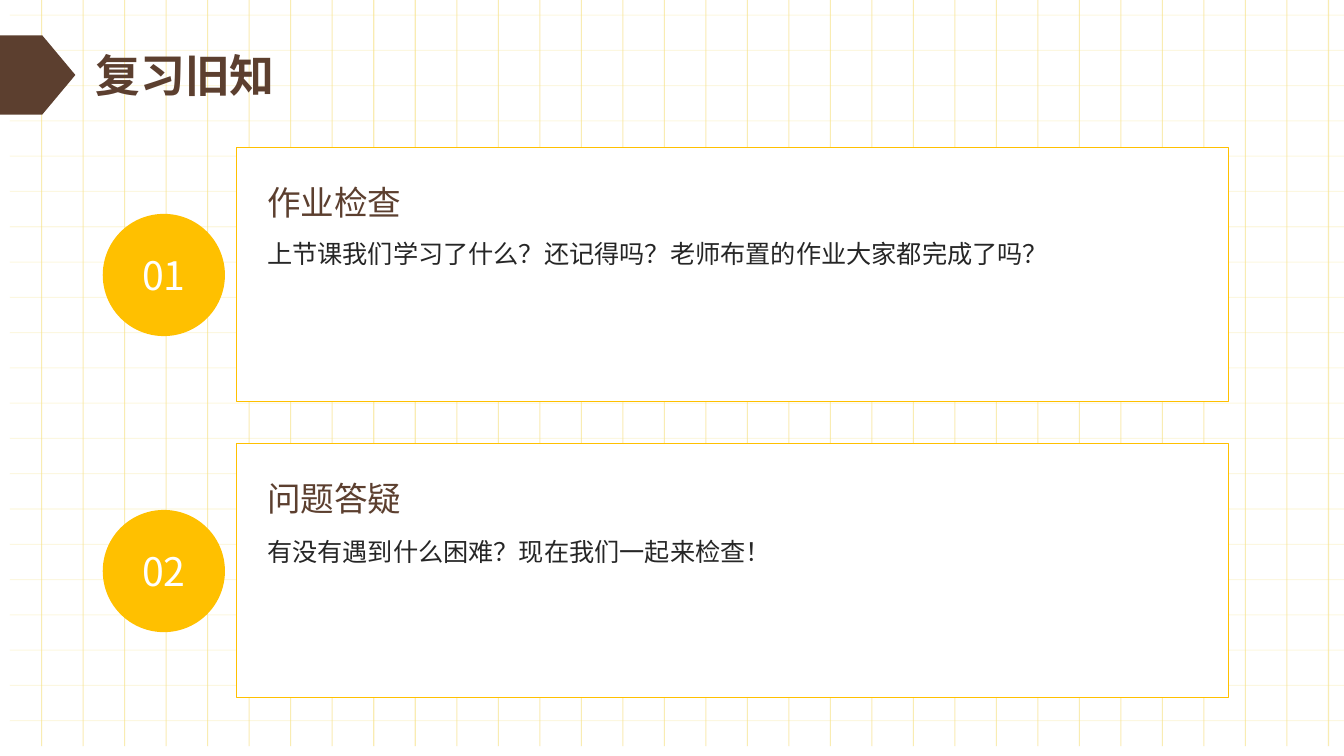
from lxml.etree import SubElement
from pptx import Presentation
from pptx.dml.color import RGBColor
from pptx.enum.shapes import MSO_CONNECTOR, MSO_SHAPE
from pptx.enum.text import MSO_ANCHOR, PP_ALIGN
from pptx.oxml.ns import qn
from pptx.util import Cm, Pt

FONT = "Noto Sans CJK SC"
BROWN, GOLD, PALE, WHITE, INK = "5C3F2F", "FFC000", "F7E288", "FFFFFF", "262626"
WIDTH, HEIGHT = 33.87, 19.05


def color(value):
    return RGBColor.from_string(value)


def add_panel(slide, kind, box, fill, line=None):
    sp = slide.shapes.add_shape(kind, *map(Cm, box))
    sp.shadow.inherit = False
    sp.fill.solid()
    sp.fill.fore_color.rgb = color(fill)
    if line:
        sp.line.color.rgb = color(line)
        sp.line.width = Pt(0.75)
    else:
        sp.line.fill.background()
    return sp


def write(tf, text, size, ink, bold=False, anchor=MSO_ANCHOR.MIDDLE):
    tf.word_wrap = True
    tf.vertical_anchor = anchor
    p = tf.paragraphs[0]
    r = p.add_run()
    r.text = text
    r.font.size = Pt(size)
    r.font.name = FONT
    r.font.bold = bold
    r.font.color.rgb = color(ink)
    SubElement(r.font._element, qn("a:ea")).set("typeface", FONT)
    return p


def add_text(slide, box, *args, **kwargs):
    sp = slide.shapes.add_textbox(*map(Cm, box))
    return write(sp.text_frame, *args, **kwargs)


def add_rule(slide, x1, y1, x2, y2, opacity):
    line = slide.shapes.add_connector(MSO_CONNECTOR.STRAIGHT, Cm(x1), Cm(y1), Cm(x2), Cm(y2))
    line.line.width = Pt(0.75)
    line.line.color.rgb = color(PALE)
    fill = line.line._ln.find(qn("a:solidFill"))
    SubElement(fill[0], qn("a:alpha")).set("val", str(opacity * 1000))
    SubElement(line._element.spPr, qn("a:effectLst"))


def spread(first, last, count):
    return [first + i * (last - first) / (count - 1) for i in range(count)]


def add_grid(slide):
    for y in spread(0.38, 18.16, 21):
        add_rule(slide, 0.25, y, WIDTH, y, 25)
    for x in spread(1.05, 33.48, 32):
        add_rule(slide, x, 0, x, 18.8, 64)


def add_header(slide, left, top, title):
    height = 2
    tag = add_panel(slide, MSO_SHAPE.PENTAGON, (left, top, 1.9, height), BROWN)
    tag.adjustments[0] = 0.44
    add_text(slide, (left + 2.16, top, 30, height), title, 32, BROWN, bold=True)


def add_step(slide, box, number, heading, body, body_drop):
    left, top, width, height = box
    add_panel(slide, MSO_SHAPE.RECTANGLE, box, WHITE, GOLD)
    badge = add_panel(slide, MSO_SHAPE.OVAL, (left - 3.38, top + 1.67, 3.08, 3.08), GOLD)
    tf = badge.text_frame
    tf.margin_left = tf.margin_right = tf.margin_top = tf.margin_bottom = 0
    write(tf, number, 28, WHITE).alignment = PP_ALIGN.CENTER
    text_left, text_width = left + 0.51, width - 1
    p = add_text(slide, (text_left, top + 0.56, text_width, 1.5), heading, 24, BROWN)
    p.line_spacing = 1.1
    add_text(slide, (text_left, top + body_drop, text_width, 3.81), body, 18, INK,
             anchor=MSO_ANCHOR.TOP)


def main():
    prs = Presentation()
    prs.slide_width, prs.slide_height = Cm(WIDTH), Cm(HEIGHT)
    slide = prs.slides.add_slide(prs.slide_layouts[6])
    add_grid(slide)
    add_header(slide, 0, 0.89, "复习旧知")
    steps = [
        ("01", "作业检查", "上节课我们学习了什么？还记得吗？老师布置的作业大家都完成了吗？", 2.15),
        ("02", "问题答疑", "有没有遇到什么困难？现在我们一起来检查！", 2.21),
    ]
    for i, step in enumerate(steps):
        add_step(slide, (5.97, 3.72 + i * 7.46, 25, 6.4), *step)
    prs.save("out.pptx")


if __name__ == "__main__":
    main()
